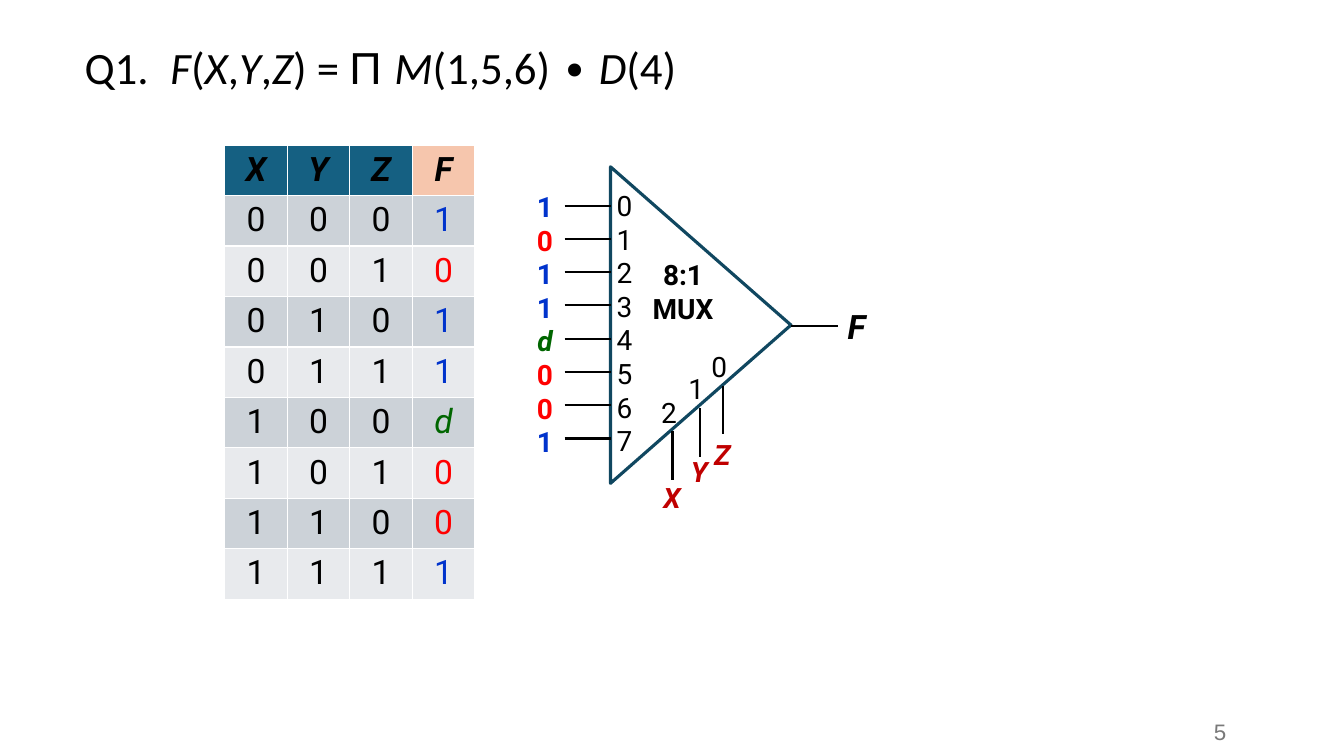
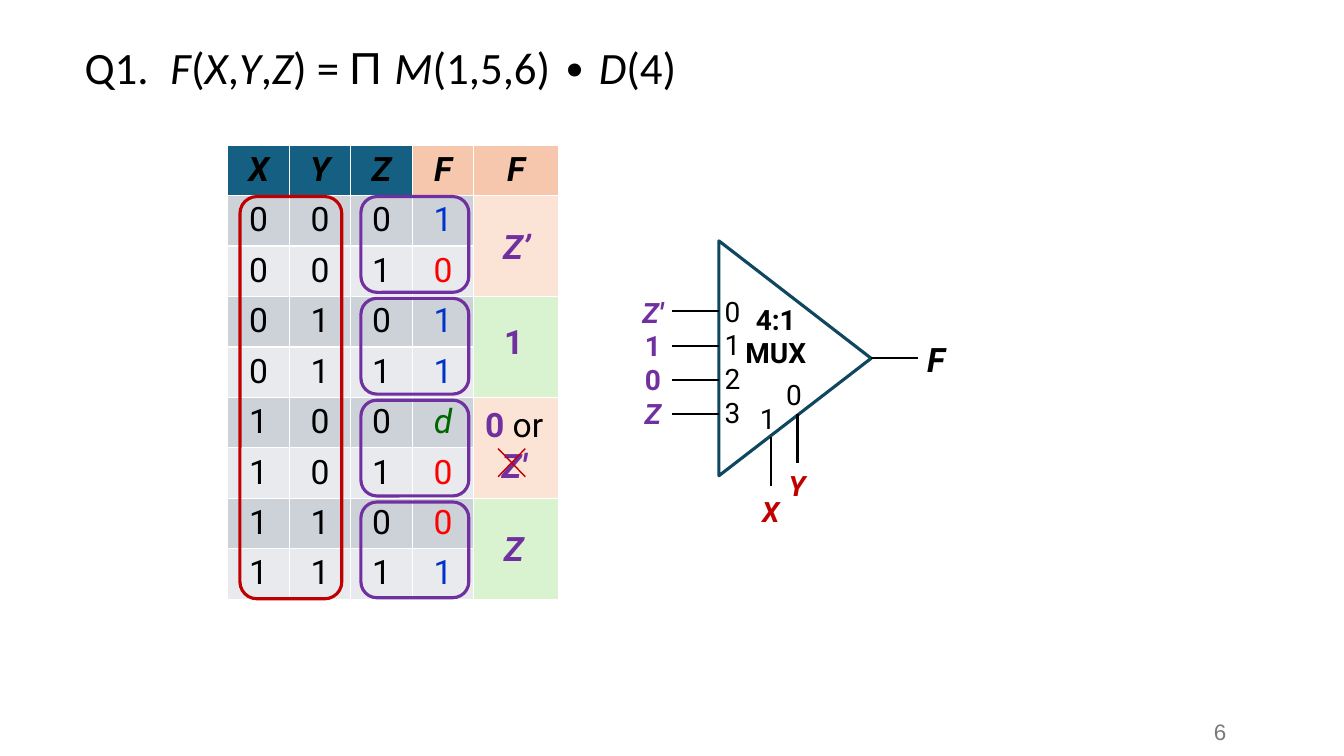
from dataclasses import dataclass
from typing import NamedTuple, Sequence

from pptx import Presentation
from pptx.dml.color import RGBColor
from pptx.enum.shapes import MSO_CONNECTOR, MSO_SHAPE
from pptx.enum.text import MSO_ANCHOR as Anchor, MSO_AUTO_SIZE as AutoSize, PP_ALIGN as Align
from pptx.oxml.xmlchemy import OxmlElement
from pptx.util import Emu, Pt

EMU_PER_PX = 9144

BLACK, GREY = "000000", "797979"
BLUE, RED, GREEN = "0033CC", "FF0000", "006600"
CRIMSON, PURPLE, TEAL = "C00000", "7030A0", "104760"
HEAD_INPUT, HEAD_OUTPUT = "156082", "F6C6AD"
BANDS = ("CCD2D8", "E8EAED")
GROUP_FILLS = ("FBE3D6", "D9F2D0")

TABLE_TOP, ROW_HEIGHT = 144, 50
WIRE = 46
STUB = 48
LABEL_WIDTH = 57
SMALL_LINE = 44
INPUT_NAMES = "XYZ"
TRUTH = "1011d001"


class Style(NamedTuple):
    size: int
    font: str = "Roboto"
    color: str = BLACK
    bold: bool = False
    italic: bool = False


class Run(NamedTuple):
    text: str
    style: Style


class Box(NamedTuple):
    left: int
    top: int
    width: int
    height: int


class Select(NamedTuple):
    name: str
    digit: str
    x: int
    y: int
    name_y: int


@dataclass(frozen=True)
class Mux:
    body: Box
    caption: str
    caption_left: int
    caption_top: int
    first_input_y: int
    pitch: int
    values: Sequence[Run]
    selects: Sequence[Select]


Line = Sequence[Run]

TITLE = Style(32, "Calibri")
TITLE_ITALIC = TITLE._replace(italic=True)
CELL = Style(24)
VARIABLE = Style(24, bold=True, italic=True)
PIN = Style(20)
CAPTION = Style(20, bold=True)
SELECT_NAME = Style(20, color=CRIMSON, bold=True, italic=True)
RESULT = Style(24, color=PURPLE, bold=True)
RESULT_ITALIC = RESULT._replace(italic=True)

FORMULA = (
    Run("F", TITLE_ITALIC), Run("(", TITLE), Run("X", TITLE_ITALIC), Run(",", TITLE),
    Run("Y", TITLE_ITALIC), Run(",", TITLE), Run("Z", TITLE_ITALIC), Run(") = ", TITLE),
    Run("Π ", TITLE._replace(font="Arial")), Run("M", TITLE_ITALIC),
    Run("(1,5,6) ∙ ", TITLE), Run("D", TITLE_ITALIC), Run("(4)", TITLE),
)


def px(value: int) -> Emu:
    return Emu(value * EMU_PER_PX)


def frame(box: Box) -> tuple[Emu, ...]:
    return tuple(px(value) for value in box)


def rgb(color: str) -> RGBColor:
    return RGBColor.from_string(color)


def write(text_frame, lines: Sequence[Line], align: Align = Align.CENTER) -> None:
    for index, runs in enumerate(lines):
        paragraph = text_frame.add_paragraph() if index else text_frame.paragraphs[0]
        paragraph.alignment = align
        for text, style in runs:
            run = paragraph.add_run()
            run.text = text
            run.font.size = Pt(style.size)
            run.font.name = style.font
            run.font.bold = style.bold
            run.font.italic = style.italic
            run.font.color.rgb = rgb(style.color)


def add_text(slide, box: Box, lines: Sequence[Line], align: Align = Align.CENTER,
             anchor: Anchor = Anchor.TOP) -> None:
    text_frame = slide.shapes.add_textbox(*frame(box)).text_frame
    text_frame.word_wrap = True
    text_frame.vertical_anchor = anchor
    write(text_frame, lines, align)


def add_label(slide, left: int, top: int, run: Run) -> None:
    height = 50 if run.style.size == 24 else SMALL_LINE
    add_text(slide, Box(left, top, LABEL_WIDTH, height), [[run]])


def add_line(slide, start: tuple[int, int], end: tuple[int, int],
             color: str = BLACK, width: float = 1.5) -> None:
    connector = slide.shapes.add_connector(
        MSO_CONNECTOR.STRAIGHT, px(start[0]), px(start[1]), px(end[0]), px(end[1]))
    connector.line.color.rgb = rgb(color)
    connector.line.width = Pt(width)
    connector._element.spPr.append(OxmlElement("a:effectLst"))


def add_outline(slide, kind: MSO_SHAPE, box: Box, color: str):
    shape = slide.shapes.add_shape(kind, *frame(box))
    shape.shadow.inherit = False
    shape.fill.background()
    shape.line.color.rgb = rgb(color)
    shape.line.width = Pt(2.25)
    return shape


def add_slide(presentation, number: int):
    slide = presentation.slides.add_slide(presentation.slide_layouts[5])
    title = slide.shapes.title
    title.left, title.top, title.width, title.height = frame(Box(159, 34, 635, 64))
    title.text_frame.word_wrap = True
    title.text_frame.auto_size = AutoSize.NONE
    title.text_frame.vertical_anchor = Anchor.TOP
    write(title.text_frame, [FORMULA], Align.LEFT)
    add_text(slide, Box(74, 34, 85, 72), [[Run("Q1.", TITLE)]], Align.LEFT)
    add_text(slide, Box(1083, 706, 143, 40), [[Run(str(number), Style(16, "Arial", GREY))]],
             Align.RIGHT, Anchor.MIDDLE)
    return slide


def output_run(symbol: str, style: Style) -> Run:
    color = {"0": RED, "1": BLUE, "d": GREEN}[symbol]
    return Run(symbol, style._replace(color=color, italic=symbol == "d"))


def set_cell(cell, fill: str, runs: Line = ()) -> None:
    cell.fill.solid()
    cell.fill.fore_color.rgb = rgb(fill)
    if runs:
        write(cell.text_frame, [runs])


def add_truth_table(slide, left: int, widths: Sequence[int]):
    row_count = len(TRUTH) + 1
    box = Box(left, TABLE_TOP, sum(widths), row_count * ROW_HEIGHT)
    table = slide.shapes.add_table(row_count, len(widths), *frame(box)).table
    for column, width in zip(table.columns, widths):
        column.width = px(width)
    for row in table.rows:
        row.height = px(ROW_HEIGHT)
    for column in range(len(widths)):
        is_input = column < len(INPUT_NAMES)
        set_cell(table.cell(0, column), HEAD_INPUT if is_input else HEAD_OUTPUT,
                 [Run(INPUT_NAMES[column] if is_input else "F", VARIABLE)])
    for index, symbol in enumerate(TRUTH):
        runs = [Run(bit, CELL) for bit in f"{index:03b}"] + [output_run(symbol, CELL)]
        for column, run in enumerate(runs):
            set_cell(table.cell(index + 1, column), BANDS[index % 2], [run])
    return table


def add_mux(slide, mux: Mux) -> None:
    left, top, width, height = mux.body
    tip, middle = left + width, top + height // 2
    upright = Box(left + (width - height) // 2, top + (height - width) // 2, height, width)
    add_outline(slide, MSO_SHAPE.FLOWCHART_EXTRACT, upright, TEAL).rotation = 90
    add_text(slide, Box(mux.caption_left, mux.caption_top, 117, 77),
             [[Run(mux.caption, CAPTION)], [Run("MUX", CAPTION)]])

    count = len(mux.values)
    text_top, text_height = mux.first_input_y - 22, 34 * count + 9
    add_text(slide, Box(left - 15, text_top, LABEL_WIDTH, text_height),
             [[Run(str(index), PIN)] for index in range(count)])
    add_text(slide, Box(left - 116, text_top + 1, 101, text_height),
             [[value] for value in mux.values])
    for index in range(count):
        y = mux.first_input_y + index * mux.pitch
        add_line(slide, (left - WIRE, y), (left, y))

    for select in mux.selects:
        add_line(slide, (select.x, select.y), (select.x, select.y + STUB))
        add_label(slide, select.x - 32, select.y - 41, Run(select.digit, PIN))
        add_label(slide, select.x - 29, select.name_y, Run(select.name, SELECT_NAME))

    add_line(slide, (tip, middle), (tip + WIRE, middle))
    add_label(slide, tip + 36, middle - 24, Run("F", VARIABLE))


def add_groups(slide, table, column: int) -> None:
    for group in range(4):
        first = 2 * group + 1
        for row in (first, first + 1):
            set_cell(table.cell(row, column), GROUP_FILLS[group % 2])
        table.cell(first, column).merge(table.cell(first + 1, column))
        add_outline(slide, MSO_SHAPE.ROUNDED_RECTANGLE,
                    Box(358, 195 + 101 * group, 107, 95), PURPLE)
    add_outline(slide, MSO_SHAPE.ROUNDED_RECTANGLE, Box(238, 195, 101, 399), CRIMSON)

    add_label(slide, 484, 219, Run("Z’", RESULT_ITALIC))
    add_label(slide, 481, 313, Run("1", RESULT))
    add_label(slide, 481, 519, Run("Z", RESULT_ITALIC))
    add_text(slide, Box(466, 396, 88, 91),
             [[Run("0 ", RESULT), Run("or", CELL)], [Run("Z'", RESULT_ITALIC)]])
    for start_y, end_y in ((445, 473), (473, 445)):
        add_line(slide, (494, start_y), (521, end_y), CRIMSON, 1)


def build_eight_way(presentation) -> None:
    slide = add_slide(presentation, 5)
    add_truth_table(slide, 223, [62] * 4)
    add_mux(slide, Mux(
        body=Box(606, 166, 179, 314), caption="8:1", caption_left=619, caption_top=251,
        first_input_y=204, pitch=33,
        values=[output_run(symbol, CAPTION) for symbol in TRUTH],
        selects=[Select("X", "2", 667, 428, 472), Select("Y", "1", 694, 405, 446),
                 Select("Z", "0", 717, 383, 429)]))


def build_four_way(presentation) -> None:
    slide = add_slide(presentation, 6)
    table = add_truth_table(slide, 226, [61] * 4 + [84])
    add_groups(slide, table, 4)
    value = RESULT._replace(size=20)
    value_italic = value._replace(italic=True)
    add_mux(slide, Mux(
        body=Box(713, 239, 151, 233), caption="4:1", caption_left=711, caption_top=295,
        first_input_y=309, pitch=34,
        values=[Run("Z'", value_italic), Run("1", value), Run("0", value),
                Run("Z", value_italic)],
        selects=[Select("X", "1", 765, 434, 486), Select("Y", "0", 791, 411, 460)]))


def main() -> None:
    presentation = Presentation()
    presentation.slide_width, presentation.slide_height = px(1333), px(750)
    build_eight_way(presentation)
    build_four_way(presentation)
    presentation.save("out.pptx")


if __name__ == "__main__":
    main()
